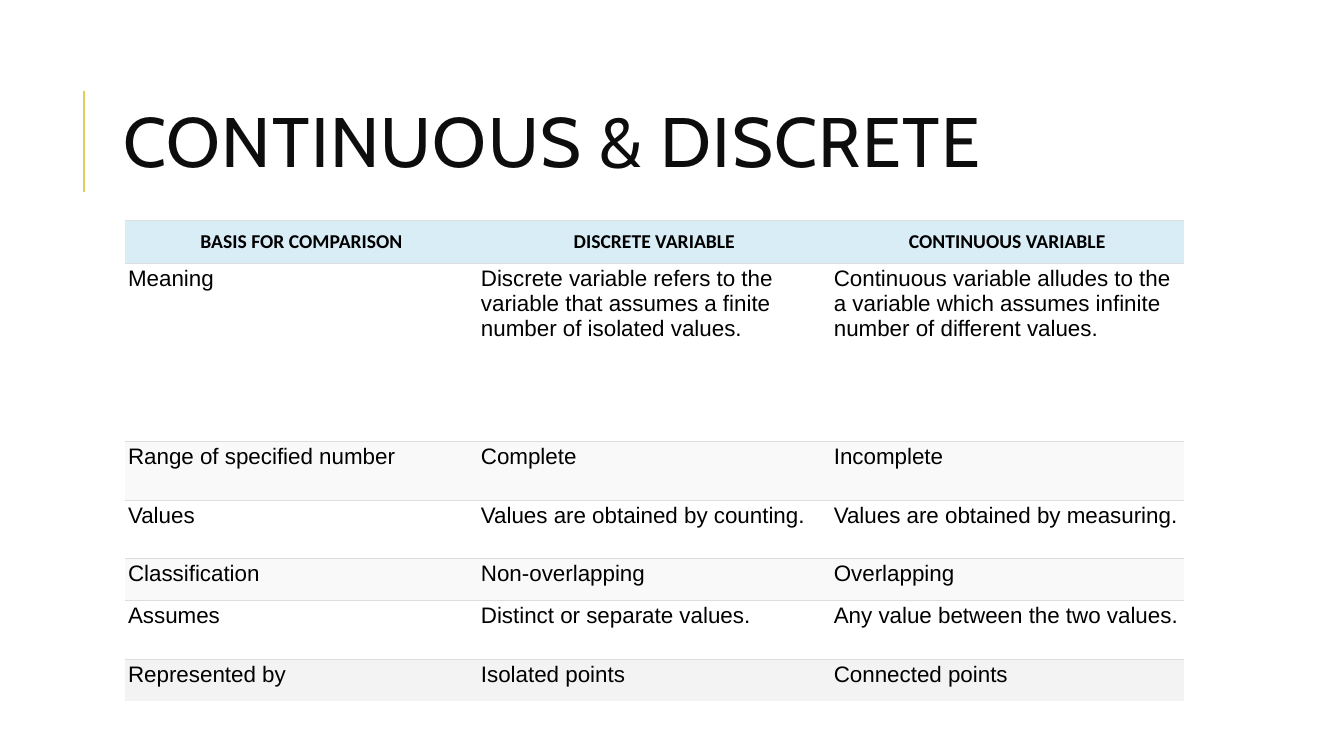
from lxml import etree
from pptx import Presentation
from pptx import util as u
from pptx.dml.color import RGBColor
from pptx.enum import shapes, text
from pptx.oxml import ns

TITLE = "CONTINUOUS & DISCRETE"
HEADINGS = ("BASIS FOR COMPARISON", "DISCRETE VARIABLE", "CONTINUOUS VARIABLE")
# Row height, fill, cell texts
ROWS = [
    (0.42, "D9EDF7", HEADINGS),
    (1.77, "FFFFFF", (
        "Meaning",
        "Discrete variable refers to the variable that assumes a finite number of isolated values.",
        "Continuous variable alludes to the a variable which assumes infinite number of different values.")),
    (0.58, "F9F9F9", ("Range of specified number", "Complete", "Incomplete")),
    (0.58, "FFFFFF", ("Values", "Values are obtained by counting.", "Values are obtained by measuring.")),
    (0.42, "F9F9F9", ("Classification", "Non-overlapping", "Overlapping")),
    (0.58, "FFFFFF", ("Assumes", "Distinct or separate values.", "Any value between the two values.")),
    (0.42, "F3F3F3", ("Represented by", "Isolated points", "Connected points")),
]
COLUMN_WIDTH = 3.5
CELL_MARGIN = 0.03
BORDER = "DDDDDD"
NO_STYLE_NO_GRID = "{2D5ABB26-0587-4C30-8999-92F81FD0307C}"


def color(hex_value):
    return RGBColor.from_string(hex_value)


def add_run(paragraph, words, font_name, size, hex_value, bold=False):
    run = paragraph.add_run()
    run.text = words
    run.font.name = font_name
    run.font.size = u.Pt(size)
    run.font.bold = bold
    run.font.color.rgb = color(hex_value)
    return run


def add_border(cell, tag, position):
    """Draw one edge of a cell; edges must precede the fill."""
    line = etree.Element(ns.qn(tag), w=str(u.Pt(0.6)))
    fill = etree.SubElement(line, ns.qn("a:solidFill"))
    etree.SubElement(fill, ns.qn("a:srgbClr"), val=BORDER)
    cell._tc.get_or_add_tcPr().insert(position, line)


def add_accent_line(slide):
    x = u.Inches(0.83)
    accent = slide.shapes.add_connector(
        shapes.MSO_CONNECTOR.STRAIGHT, x, u.Inches(0.9), x, u.Inches(1.9))
    accent.line.color.rgb = color("E3CC5A")
    accent.line.width = u.Pt(1.5)
    etree.SubElement(accent._element.spPr, ns.qn("a:effectLst"))


def format_title(slide):
    title = slide.shapes.title
    title.left, title.top = u.Inches(1.12), u.Inches(0.64)
    title.width, title.height = u.Inches(10.63), u.Inches(1.64)
    frame = title.text_frame
    frame.word_wrap = True
    frame.auto_size = text.MSO_AUTO_SIZE.NONE
    frame.vertical_anchor = text.MSO_ANCHOR.MIDDLE
    paragraph = frame.paragraphs[0]
    paragraph.alignment = text.PP_ALIGN.LEFT
    paragraph.line_spacing = 0.8
    run = add_run(paragraph, TITLE, "Cabin", 50, "0D0D0D")
    run.font._element.set("spc", "100")


def fill_cell(cell, words, fill, is_heading):
    cell.margin_left = cell.margin_right = u.Inches(CELL_MARGIN)
    cell.margin_top = cell.margin_bottom = u.Inches(CELL_MARGIN)
    cell.fill.solid()
    cell.fill.fore_color.rgb = color(fill)
    paragraph = cell.text_frame.paragraphs[0]
    if is_heading:
        cell.vertical_anchor = text.MSO_ANCHOR.MIDDLE
        paragraph.alignment = text.PP_ALIGN.CENTER
        add_run(paragraph, words, "Calibri", 14, "000000", bold=True)
    else:
        cell.vertical_anchor = text.MSO_ANCHOR.TOP
        add_run(paragraph, words, "Arial", 16, "000000")


def add_comparison_table(slide):
    width = COLUMN_WIDTH * len(HEADINGS)
    height = sum(row[0] for row in ROWS)
    table = slide.shapes.add_table(
        len(ROWS), len(HEADINGS), u.Inches(1.24), u.Inches(2.19),
        u.Inches(width), u.Inches(height)).table
    table.horz_banding = False
    table._tbl.tblPr.find(ns.qn("a:tableStyleId")).text = NO_STYLE_NO_GRID
    for column in table.columns:
        column.width = u.Inches(COLUMN_WIDTH)
    for row_index, (row_height, fill, words) in enumerate(ROWS):
        table.rows[row_index].height = u.Inches(row_height)
        for column_index, cell_words in enumerate(words):
            cell = table.cell(row_index, column_index)
            fill_cell(cell, cell_words, fill, row_index == 0)
            add_border(cell, "a:lnT", 0)
            if row_index < len(ROWS) - 1:
                add_border(cell, "a:lnB", 1)


def main():
    presentation = Presentation()
    presentation.slide_width = u.Inches(13.33)
    presentation.slide_height = u.Inches(7.5)
    slide = presentation.slides.add_slide(presentation.slide_layouts[5])
    add_accent_line(slide)
    format_title(slide)
    add_comparison_table(slide)
    presentation.save("out.pptx")


if __name__ == "__main__":
    main()
